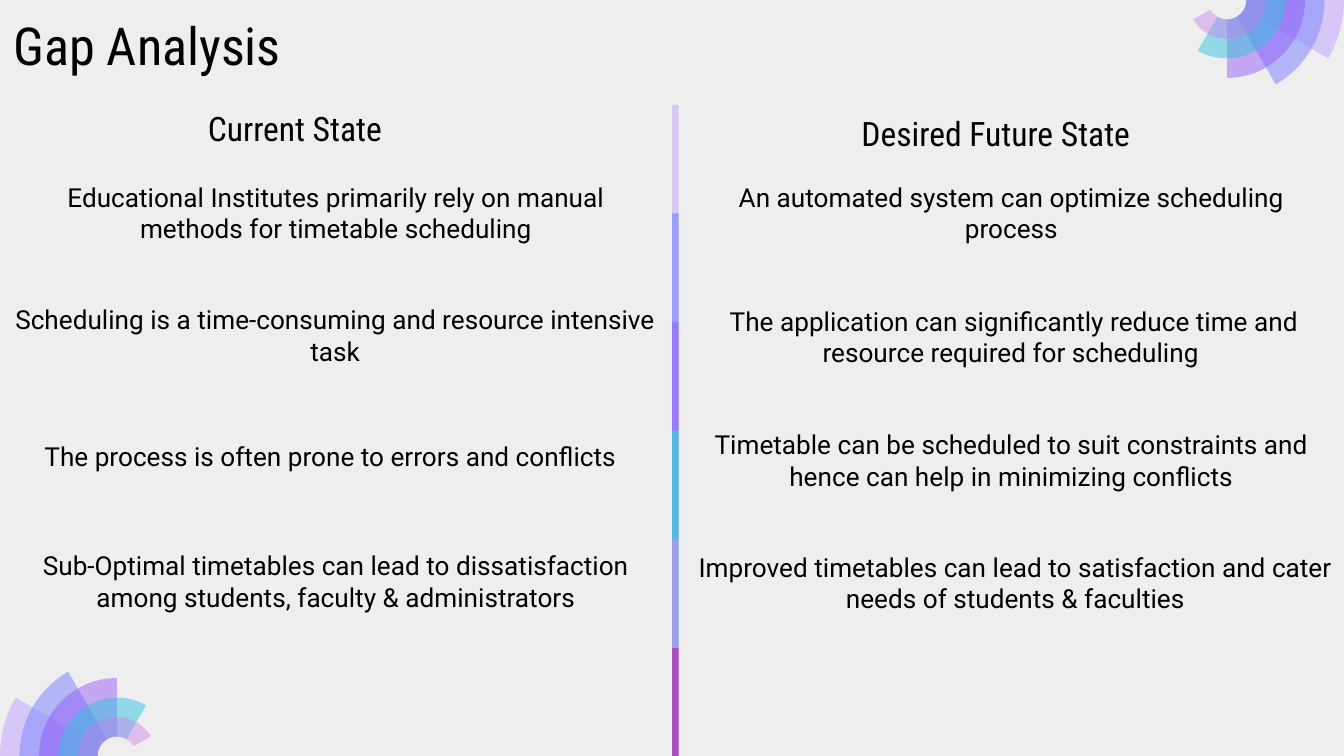
import math

import pptx
import pptx.dml.color
import pptx.enum.shapes
import pptx.enum.text
import pptx.oxml
import pptx.oxml.ns
import pptx.util

Inches = pptx.util.Inches
RGBColor = pptx.dml.color.RGBColor
ALIGN = pptx.enum.text.PP_ALIGN
ANCHOR = pptx.enum.text.MSO_ANCHOR

BACKGROUND = RGBColor(0xEE, 0xEE, 0xEE)
BLACK = RGBColor(0x00, 0x00, 0x00)
LAVENDER = RGBColor(0xC8, 0xAC, 0xFD)
PALE_LAVENDER = RGBColor(0xC8, 0xAE, 0xF8)
PERIWINKLE = RGBColor(0x87, 0x8F, 0xFF)
VIOLET = RGBColor(0x91, 0x54, 0xF8)
TURQUOISE = RGBColor(0x35, 0xC2, 0xDF)
ORCHID = RGBColor(0xCA, 0x7B, 0xEB)
PURPLE = RGBColor(0x97, 0x2C, 0xB4)

HEADING_FONT = "Roboto Condensed"
BODY_FONT = "Roboto"

FAN_SECTORS = [(LAVENDER, 58), (PERIWINKLE, 58), (VIOLET, 46), (TURQUOISE, 49), (ORCHID, 42)]
DIVIDER_BARS = [(PALE_LAVENDER, 59), (PERIWINKLE, 74), (VIOLET, 53),
                (TURQUOISE, 76), (ORCHID, 56), (PURPLE, 74)]

CURRENT_STATEMENTS = [
    ("Educational Institutes primarily rely on manual methods for timetable scheduling",
     (0, 1.25, 5, 0.69)),
    ("Scheduling is a time-consuming and resource intensive task", (-0.04, 2.21, 5.07, 0.57)),
    ("The process is often prone to errors and conflicts", (-0.04, 3.23, 5, 0.34)),
    ("Sub-Optimal timetables can lead to dissatisfaction among students, faculty & administrators",
     (0, 4.04, 5, 0.57)),
]
FUTURE_STATEMENTS = [
    ("An automated system can optimize scheduling process", (0, 1.3, 4.95, 0.57)),
    ("The application can significantly reduce time and resource required for scheduling ",
     (0.02, 2.22, 4.95, 0.57)),
    ("Timetable can be scheduled to suit constraints and hence can help in minimizing conflicts",
     (0, 3.14, 4.95, 0.57)),
    ("Improved timetables can lead to satisfaction and cater needs of students & faculties",
     (0, 4.05, 5.01, 0.57)),
]


def paint(shape, color, opacity):
    shape.shadow.inherit = False
    shape.line.fill.background()
    shape.fill.solid()
    shape.fill.fore_color.rgb = color
    color_element = shape.fill._xPr.find(".//" + pptx.oxml.ns.qn("a:srgbClr"))
    alpha = pptx.oxml.parse_xml(f'<a:alpha {pptx.oxml.ns.nsdecls("a")} val="{opacity * 1000}"/>')
    color_element.append(alpha)


def place(shape, left, top, width, height):
    shape.left, shape.top = Inches(left), Inches(top)
    shape.width, shape.height = Inches(width), Inches(height)


def write(shape, text, font_name, size, alignment, anchor=ANCHOR.TOP, inset=0.05):
    frame = shape.text_frame
    frame.text = text
    frame.word_wrap = True
    frame.auto_size = pptx.enum.text.MSO_AUTO_SIZE.NONE
    frame.vertical_anchor = anchor
    frame.margin_left = frame.margin_right = Inches(0.1)
    frame.margin_top = frame.margin_bottom = Inches(inset)
    paragraph = frame.paragraphs[0]
    paragraph.alignment = alignment
    paragraph.space_before = pptx.util.Pt(0)
    if shape.is_placeholder:
        properties = paragraph._p.get_or_add_pPr()
        properties.set("marL", "0")
        properties.set("indent", "0")
        properties.append(pptx.oxml.parse_xml(f'<a:buNone {pptx.oxml.ns.nsdecls("a")}/>'))
    font = paragraph.runs[0].font
    font.name = font_name
    font.size = pptx.util.Pt(size)
    font.bold = False
    font.color.rgb = BLACK


def arc_points(radius, stops):
    points = [(radius * math.cos(stops[0]), radius * math.sin(stops[0]))]
    for start, end in zip(stops, stops[1:]):
        handle = radius * 4 / 3 * math.tan((end - start) / 4)
        start_x, start_y = points[-1]
        end_x, end_y = radius * math.cos(end), radius * math.sin(end)
        points += [(start_x - handle * math.sin(start), start_y + handle * math.cos(start)),
                   (end_x + handle * math.sin(end), end_y - handle * math.cos(end)),
                   (end_x, end_y)]
    return points


def curve_lines(lines):
    for index in range(0, len(lines), 3):
        curve = pptx.oxml.parse_xml(f'<a:cubicBezTo {pptx.oxml.ns.nsdecls("a")}/>')
        lines[index].addprevious(curve)
        for line in lines[index:index + 3]:
            curve.append(line[0])
            line.getparent().remove(line)


def add_fan(slide, center_x, center_y, start_angle):
    group = slide.shapes.add_group_shape()
    ring = 0.145
    for index, (color, opacity) in enumerate(FAN_SECTORS):
        sweep = 30 * (index + 1)
        degrees = [0, 90, sweep] if sweep > 90 else [0, sweep]
        stops = [math.radians(start_angle + degree) for degree in degrees]
        outer = arc_points(ring * (6 - index), stops[::-1])
        inner = arc_points(ring, stops)
        points = [(Inches(center_x + x), Inches(center_y + y)) for x, y in outer + inner]
        builder = group.shapes.build_freeform(*points[0])
        builder.add_line_segments(points[1:], close=True)
        sector = builder.convert_to_shape()
        lines = list(sector._element.iter(pptx.oxml.ns.qn("a:lnTo")))
        curve_lines(lines[:len(outer) - 1])
        curve_lines(lines[len(outer):])
        paint(sector, color, opacity)


def add_divider(slide, left, top, width, height):
    group = slide.shapes.add_group_shape()
    step = height / len(DIVIDER_BARS)
    for index, (color, opacity) in enumerate(DIVIDER_BARS):
        bar_height = min(2 * step, height - index * step)
        bar = group.shapes.add_shape(
            pptx.enum.shapes.MSO_SHAPE.RECTANGLE,
            Inches(left), Inches(top + index * step), Inches(width), Inches(bar_height))
        paint(bar, color, opacity)


def add_column(slide, left, heading_index, heading, heading_box, alignment, anchor, statements,
               first_inset):
    heading_shape = slide.placeholders[heading_index]
    x, y, width, height = heading_box
    place(heading_shape, left + x, y, width, height)
    heading_inset = 0.1 if anchor == ANCHOR.BOTTOM else 0.05
    write(heading_shape, heading, HEADING_FONT, 18, alignment, anchor, heading_inset)
    for index, (text, (x, y, width, height)) in enumerate(statements):
        if index == 0:
            shape = slide.placeholders[heading_index + 1]
        else:
            shape = slide.shapes.add_textbox(0, 0, 0, 0)
        place(shape, left + x, y, width, height)
        inset = first_inset if index == 0 else 0.05
        write(shape, text, BODY_FONT, 14, ALIGN.CENTER, inset=inset)


def main():
    presentation = pptx.Presentation()
    presentation.slide_width = Inches(10)
    presentation.slide_height = Inches(5.625)
    slide = presentation.slides.add_slide(presentation.slide_layouts.get_by_name("Comparison"))
    slide.background.fill.solid()
    slide.background.fill.fore_color.rgb = BACKGROUND

    add_fan(slide, 0.87, 5.625, 180)
    add_fan(slide, 9.13, 0, 0)
    place(slide.shapes.title, 0, 0, 8.43, 0.63)
    write(slide.shapes.title, "Gap Analysis", HEADING_FONT, 28, ALIGN.LEFT, inset=0.1)
    add_divider(slide, 5, 0.78, 0.05, 4.85)
    add_column(slide, 0, 1, "Current State", (0.93, 0.77, 2.53, 0.43),
               ALIGN.CENTER, ANCHOR.BOTTOM, CURRENT_STATEMENTS, 0.1)
    add_column(slide, 5.05, 3, "Desired Future State", (1.26, 0.79, 2.32, 0.4),
               ALIGN.LEFT, ANCHOR.TOP, FUTURE_STATEMENTS, 0.05)
    presentation.save("out.pptx")


if __name__ == "__main__":
    main()
